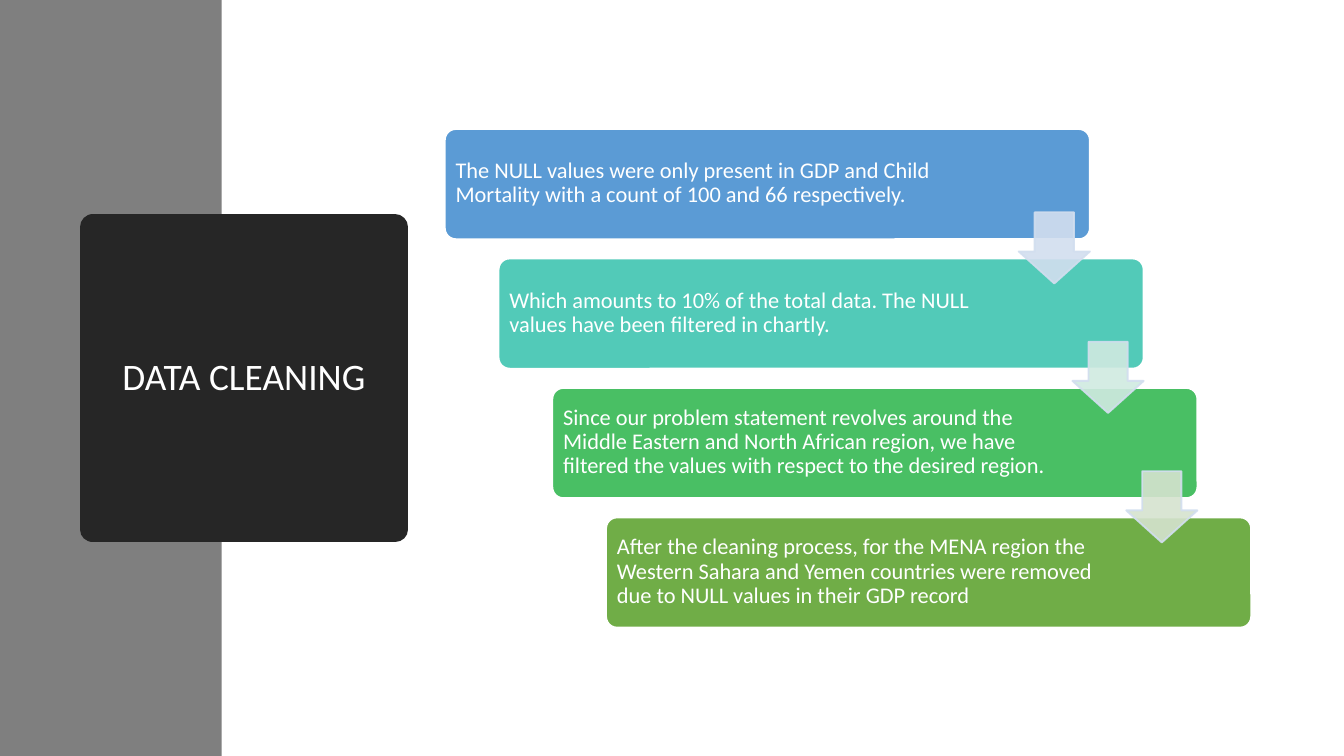
from dataclasses import dataclass

from lxml import etree
from pptx import Presentation
from pptx.dml.color import RGBColor
from pptx.enum.shapes import MSO_SHAPE
from pptx.enum.text import MSO_ANCHOR, PP_ALIGN
from pptx.oxml.ns import qn
from pptx.util import Inches, Pt

RECT = MSO_SHAPE.RECTANGLE
ROUND = MSO_SHAPE.ROUNDED_RECTANGLE
ARROW = MSO_SHAPE.DOWN_ARROW
MIDDLE = MSO_ANCHOR.MIDDLE
LEFT, CENTER = PP_ALIGN.LEFT, PP_ALIGN.CENTER

WIDE = 10
HIGH = WIDE * 9 / 16
FONT = "Calibri"
COLORS = {
    "white": "FFFFFF", "gray": "7F7F7F", "dark": "262626",
    "blue": "5B9BD5", "teal": "52CAB8", "green": "49BF64", "olive": "70AD47",
    "edge": "D2DEEF", "mint": "D0EAE1", "sage": "D5E3CF",
}


@dataclass
class Box:
    left: float
    top: float
    width: float
    height: float

    def step(self, count: int):
        """Move down the staircase by a number of steps."""
        return Box(self.left + count * STEP_X, self.top + count * STEP_Y,
                   self.width, self.height)

    def place(self):
        return [Inches(n) for n in (self.left, self.top, self.width, self.height)]


@dataclass
class Step:
    text: str
    fill: str
    arrow: str = ""


STEP_X, STEP_Y = 0.4, (3.85 - 0.96) / 3
CARD = Box(3.31, 0.96, 4.8, 0.82)
LABEL = Box(3.34, 0.98, 3.83, 0.77)
HEAD = Box(7.58, 1.58, 0.53, 0.53)

STEPS = [
    Step("The NULL values were only present in GDP and Child Mortality "
         "with a count of 100 and 66 respectively.", "blue", "edge"),
    Step("Which amounts to 10% of the total data. The NULL values have been "
         "filtered in chartly.", "teal", "mint"),
    Step("Since our problem statement revolves around the Middle Eastern and "
         "North African region, we have filtered the values with respect to "
         "the desired region.", "green", "sage"),
    Step("After the cleaning process, for the MENA region the Western Sahara "
         "and Yemen countries were removed due to NULL values in their GDP "
         "record", "olive"),
]


def paint(fill, color: str, alpha: int = 100) -> None:
    fill.solid()
    fill.fore_color.rgb = RGBColor.from_string(COLORS[color])
    if alpha < 100:
        tone = fill._xPr.find(qn("a:solidFill"))[0]
        etree.SubElement(tone, qn("a:alpha"), val=str(alpha * 1000))


def draw(slide, kind, box: Box, fill: str, line: str = "", width: float = 1,
         alpha: int = 100, adjust: tuple = ()):
    shape = slide.shapes.add_shape(kind, *box.place())
    shape.shadow.inherit = False
    for i, value in enumerate(adjust):
        shape.adjustments[i] = value
    paint(shape.fill, fill, alpha)
    if line:
        shape.line.width = Pt(width)
        paint(shape.line.fill, line, alpha)
    else:
        shape.line.fill.background()
    return shape


def write(shape, text: str, size: int, align) -> None:
    frame = shape.text_frame
    frame.word_wrap = True
    frame.vertical_anchor = MIDDLE
    para = frame.paragraphs[0]
    para.alignment = align
    para.line_spacing = 0.9
    run = para.add_run()
    run.text = text
    run.font.name = FONT
    run.font.size = Pt(size)
    run.font.color.rgb = RGBColor.from_string(COLORS["white"])


def label(slide, box: Box, text: str) -> None:
    shape = slide.shapes.add_textbox(*box.place())
    frame = shape.text_frame
    frame.margin_left = frame.margin_right = Inches(0.05)
    frame.margin_top = frame.margin_bottom = Inches(0.05)
    write(shape, text, 12, LEFT)


def main() -> None:
    deck = Presentation()
    deck.slide_width, deck.slide_height = Inches(WIDE), Inches(HIGH)
    slide = deck.slides.add_slide(deck.slide_layouts[6])

    draw(slide, RECT, Box(0, 0, WIDE * 0.165, HIGH), "gray")
    title = draw(slide, RECT, Box(0.69, 1.69, 2.25, 2.25), "dark", "dark", 13.75)
    etree.SubElement(title.line._ln, qn("a:round"))
    write(title, "DATA CLEANING", 20, CENTER)

    for i, step in enumerate(STEPS):
        draw(slide, ROUND, CARD.step(i), step.fill, "white", adjust=(0.1,))
        label(slide, LABEL.step(i), step.text)
    for i, step in enumerate(STEPS):
        if step.arrow:
            draw(slide, ARROW, HEAD.step(i), step.arrow, "edge", alpha=90,
                 adjust=(0.55, 0.45))

    deck.save("out.pptx")


if __name__ == "__main__":
    main()
